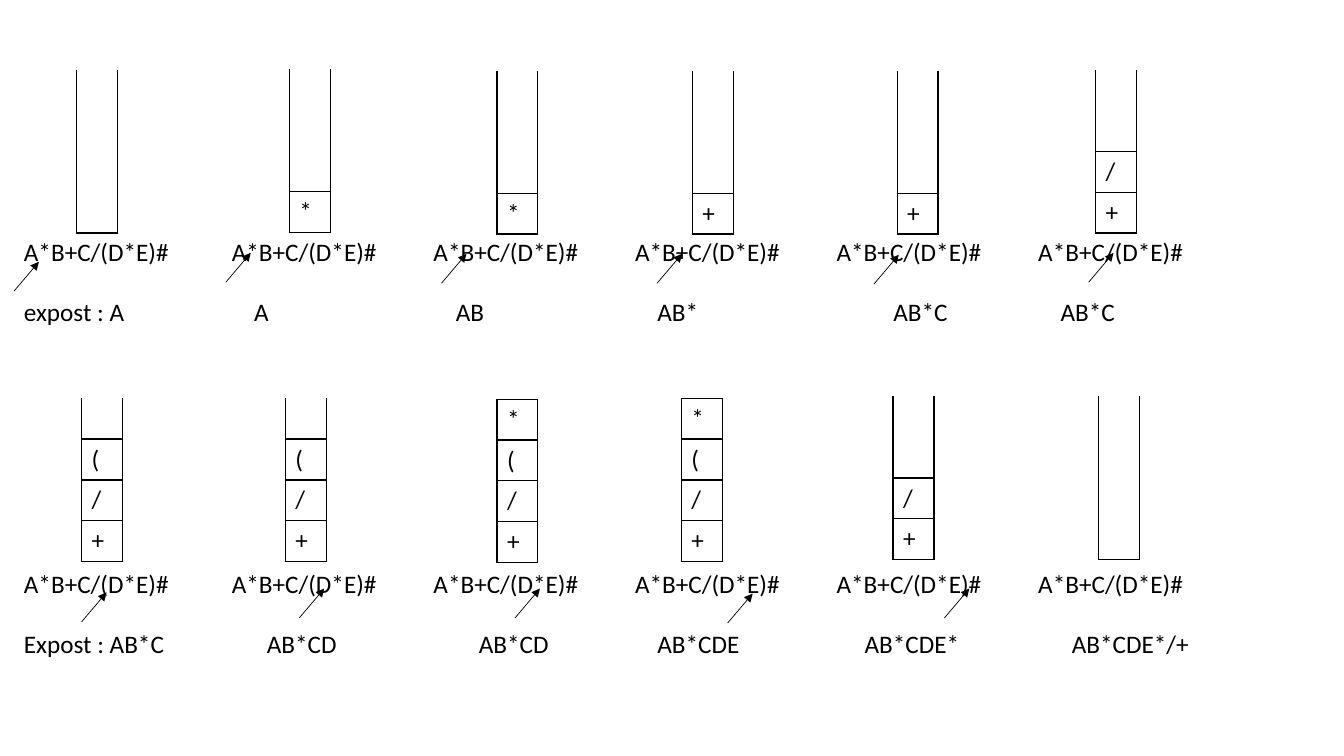
from lxml import etree
from pptx import Presentation
from pptx.dml.color import RGBColor
from pptx.enum.shapes import MSO_CONNECTOR
from pptx.oxml.ns import qn
from pptx.util import Pt

STRAIGHT = MSO_CONNECTOR.STRAIGHT
COLORS = {"ink": "000000"}
FONT, FONT_SIZE = "Calibri", 18

EXPRESSION = "A*B+C/(D*E)#"
EXPRESSION_TABS = [148.5 + 144 * step for step in range(5)]

# Text of each line, its tab stops and the space before it
LINES = [
    ([EXPRESSION] * 6, EXPRESSION_TABS, 0),
    (["expost : A", "A", "AB", "AB*", "AB*C", "AB*C"],
     [164.5, 308.5, 452.5, 621, 740.5], 21),
    ([EXPRESSION] * 6, EXPRESSION_TABS, 173),
    (["Expost : AB*C", "AB*CD", "AB*CD", "AB*CDE", "AB*CDE*", "AB*CDE*/+"],
     [173.5, 325, 452.5, 600.5, 748.5], 21),
]

# Symbols from top to bottom, left and top of each stack
STACKS = [
    ("", 54.7, 49.7), ("*", 206.6, 49), ("*", 355, 50.4),
    ("+", 494.6, 50.4), ("+", 640.8, 50.4), ("/+", 782.6, 49.7),
    ("(/+", 58.3, 284.4), ("(/+", 203.8, 284.4), ("*(/+", 355, 285.1),
    ("*(/+", 486.7, 284.4), ("/+", 637.9, 283), ("", 784.8, 283),
]
DEPTH, CELL = 4, 29.2

# Tail of each arrow pointing at the symbol being read
READ_ARROWS = [
    (10, 208), (161.3, 201.6), (315.4, 202.3),
    (469.4, 202.3), (624.2, 203), (777.6, 201.6),
    (58.3, 444.2), (213.8, 441.4), (367.9, 441.4),
    (519.8, 445), (674.6, 441.4),
]
ARROW_RUN, ARROW_RISE = 17.8, 21


def ink():
    return RGBColor.from_string(COLORS["ink"])


def style(font):
    font.name, font.size, font.bold = FONT, Pt(FONT_SIZE), False
    font.color.rgb = ink()


def add_lines(slide):
    box = slide.shapes.add_textbox(Pt(10), Pt(165.4), Pt(938), Pt(310))
    frame = box.text_frame
    frame.word_wrap = True
    for index, (entries, tabs, gap) in enumerate(LINES):
        paragraph = frame.add_paragraph() if index else frame.paragraphs[0]
        paragraph.text = "\t".join(entries)
        paragraph.space_before = Pt(gap)
        properties = paragraph._p.get_or_add_pPr()
        tab_list = etree.SubElement(properties, qn("a:tabLst"))
        for position in tabs:
            etree.SubElement(tab_list, qn("a:tab"), pos=str(Pt(position)), algn="l")
        for run in paragraph.runs:
            style(run.font)


def set_borders(cell, sides):
    """Draw the named sides (L, R, T, B) and clear the others."""
    properties = cell._tc.get_or_add_tcPr()
    for side in "LRTB":
        border = etree.SubElement(properties, qn(f"a:ln{side}"), w=str(Pt(1)))
        if side in sides:
            fill = etree.SubElement(border, qn("a:solidFill"))
            etree.SubElement(fill, qn("a:srgbClr"), val=COLORS["ink"])
        else:
            etree.SubElement(border, qn("a:noFill"))


def add_stack(slide, symbols, left, top):
    """Stack open at the top, with a box round each symbol held."""
    table = slide.shapes.add_table(
        DEPTH, 1, Pt(left), Pt(top), Pt(CELL), Pt(CELL * DEPTH)).table
    table.first_row = table.horz_banding = False
    table.columns[0].width = Pt(CELL)
    first_filled = DEPTH - len(symbols)
    for row in range(DEPTH):
        table.rows[row].height = Pt(CELL)
        cell = table.cell(row, 0)
        sides = "LR"
        if row >= first_filled:
            sides += "T"
            cell.text = symbols[row - first_filled]
        if row >= first_filled - 1:
            sides += "B"
        set_borders(cell, sides)
        cell.fill.background()
        style(cell.text_frame.paragraphs[0].font)


def add_read_arrow(slide, x, y):
    arrow = slide.shapes.add_connector(
        STRAIGHT, Pt(x), Pt(y), Pt(x + ARROW_RUN), Pt(y - ARROW_RISE))
    arrow.line.color.rgb = ink()
    arrow.line.width = Pt(0.5)
    etree.SubElement(arrow.line._get_or_add_ln(), qn("a:tailEnd"), type="triangle")
    etree.SubElement(arrow._element.spPr, qn("a:effectLst"))


def main():
    deck = Presentation()
    deck.slide_width, deck.slide_height = Pt(960), Pt(540)
    slide = deck.slides.add_slide(deck.slide_layouts[6])
    add_lines(slide)
    for symbols, left, top in STACKS:
        add_stack(slide, symbols, left, top)
    for x, y in READ_ARROWS:
        add_read_arrow(slide, x, y)
    deck.save("out.pptx")


if __name__ == "__main__":
    main()
